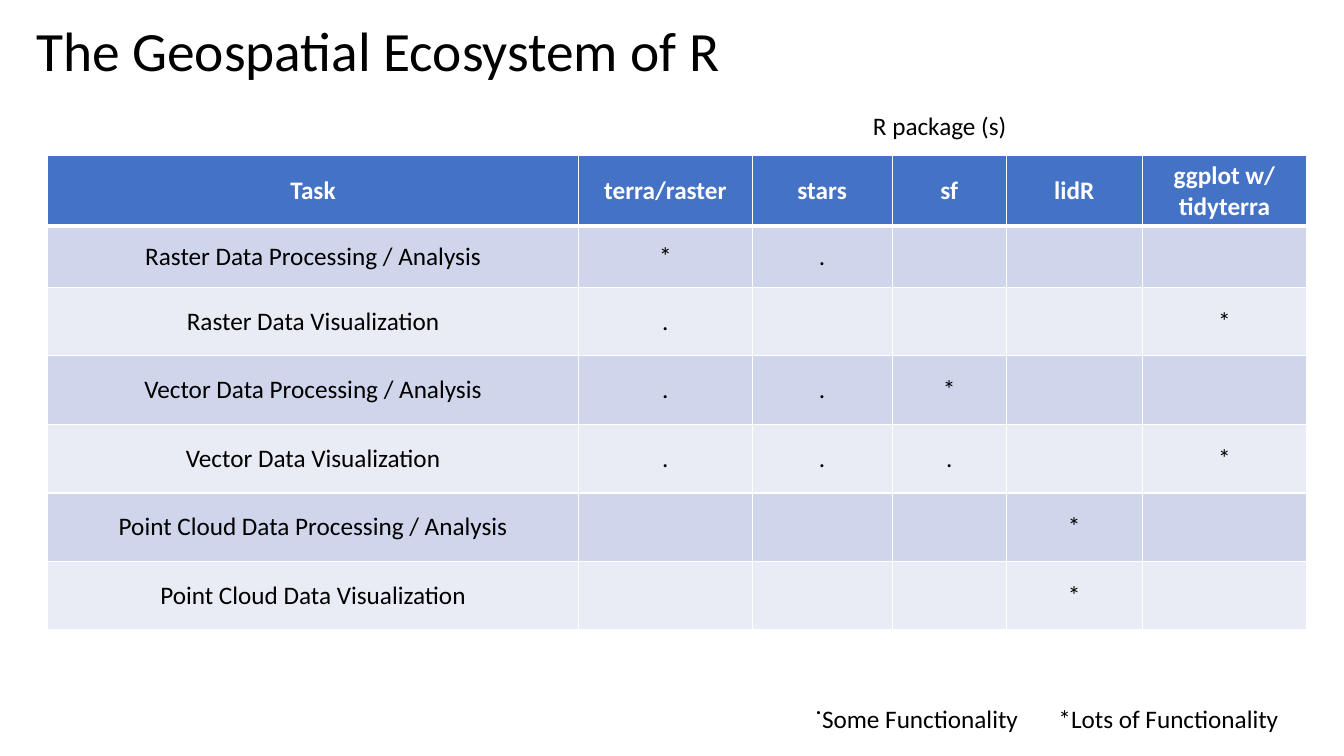
from dataclasses import dataclass

from lxml import etree
from pptx import Presentation
from pptx.dml.color import RGBColor
from pptx.enum.text import MSO_ANCHOR, PP_ALIGN
from pptx.oxml.ns import qn
from pptx.util import Inches, Pt

CENTER = PP_ALIGN.CENTER
MIDDLE = MSO_ANCHOR.MIDDLE
TOP = MSO_ANCHOR.TOP


@dataclass(frozen=True)
class Theme:
    font: str = "Calibri"
    text: str = "000000"
    white: str = "FFFFFF"
    header: str = "4472C4"
    bands: tuple = ("CFD5EA", "E9EBF5")
    title_size: float = 39.6
    body_size: float = 18
    mark_size: float = 32
    border: float = 1
    header_border: float = 3


THEME = Theme()

COLUMN_WIDTHS = [5.27, 1.72, 1.39, 1.13, 1.35, 1.63]
ROW_HEIGHTS = [0.68, 0.61] + [0.68] * 5
HEADINGS = ["Task", "terra/raster", "stars", "sf", "lidR", "ggplot w/ tidyterra"]
TASKS = [
    ["Raster Data Processing / Analysis", "*", ".", "", "", ""],
    ["Raster Data Visualization", ".", "", "", "", "*"],
    ["Vector Data Processing / Analysis", ".", ".", "*", "", ""],
    ["Vector Data Visualization", ".", ".", ".", "", "*"],
    ["Point Cloud Data Processing / Analysis", "", "", "", "*", ""],
    ["Point Cloud Data Visualization", "", "", "", "*", ""],
]


def add_run(p, text, size=THEME.body_size, color=THEME.text, bold=False, raised=0):
    """Append a run; raised is the superscript offset in percent."""
    r = p.add_run()
    r.text = text
    r.font.name = THEME.font
    r.font.size = Pt(size)
    r.font.bold = bold
    r.font.color.rgb = RGBColor.from_string(color)
    if raised:
        r.font._element.set("baseline", str(raised * 1000))


def add_text_box(slide, left, top, width, height, anchor=TOP):
    """Add an empty text box and return its first paragraph."""
    sp = slide.shapes.add_textbox(
        Inches(left), Inches(top), Inches(width), Inches(height))
    tf = sp.text_frame
    tf.word_wrap = True
    tf.vertical_anchor = anchor
    return tf.paragraphs[0]


def add_tab_stop(p, position):
    tabs = etree.SubElement(p._p.get_or_add_pPr(), qn("a:tabLst"))
    etree.SubElement(tabs, qn("a:tab"), pos=str(Inches(position)), algn="l")


def set_borders(cell, top, bottom):
    """Draw white cell borders; top and bottom are widths in points."""
    widths = {"L": THEME.border, "R": THEME.border, "T": top, "B": bottom}
    for side, width in widths.items():
        ln = etree.SubElement(
            cell._tc.get_or_add_tcPr(), qn(f"a:ln{side}"), w=str(Pt(width)))
        fill = etree.SubElement(ln, qn("a:solidFill"))
        etree.SubElement(fill, qn("a:srgbClr"), val=THEME.white)


def format_cell(cell, text, row):
    is_header = row == 0
    set_borders(
        cell,
        top=THEME.header_border if row == 1 else THEME.border,
        bottom=THEME.header_border if is_header else THEME.border)
    cell.fill.solid()
    fill = THEME.header if is_header else THEME.bands[(row - 1) % 2]
    cell.fill.fore_color.rgb = RGBColor.from_string(fill)
    cell.vertical_anchor = MIDDLE
    p = cell.text_frame.paragraphs[0]
    p.alignment = CENTER
    if text:
        add_run(p, text, bold=is_header,
                color=THEME.white if is_header else THEME.text)


def add_package_table(slide, left, top):
    rows = [HEADINGS] + TASKS
    table = slide.shapes.add_table(
        len(rows), len(HEADINGS), Inches(left), Inches(top),
        Inches(sum(COLUMN_WIDTHS)), Inches(sum(ROW_HEIGHTS))).table
    for column, width in zip(table.columns, COLUMN_WIDTHS):
        column.width = Inches(width)
    for i, (values, height) in enumerate(zip(rows, ROW_HEIGHTS)):
        table.rows[i].height = Inches(height)
        for j, text in enumerate(values):
            format_cell(table.cell(i, j), text, i)


def add_legend(slide):
    p = add_text_box(slide, 7.99, 6.73, 4.97, 0.46)
    add_tab_stop(p, 2.41)
    add_run(p, ".", size=THEME.mark_size, raised=30)
    add_run(p, "Some Functionality\t*Lots of Functionality")


def main():
    prs = Presentation()
    prs.slide_width, prs.slide_height = Inches(13.33), Inches(7.5)
    slide = prs.slides.add_slide(prs.slide_layouts[6])

    title = add_text_box(slide, 0.26, 0.21, 8.3, 0.65, anchor=MIDDLE)
    title.line_spacing = 0.9
    add_run(title, "The Geospatial Ecosystem of R", size=THEME.title_size)

    add_package_table(slide, 0.47, 1.54)
    add_legend(slide)
    add_run(add_text_box(slide, 8.56, 1.05, 1.54, 0.4), "R package (s)")

    prs.save("out.pptx")


if __name__ == "__main__":
    main()
